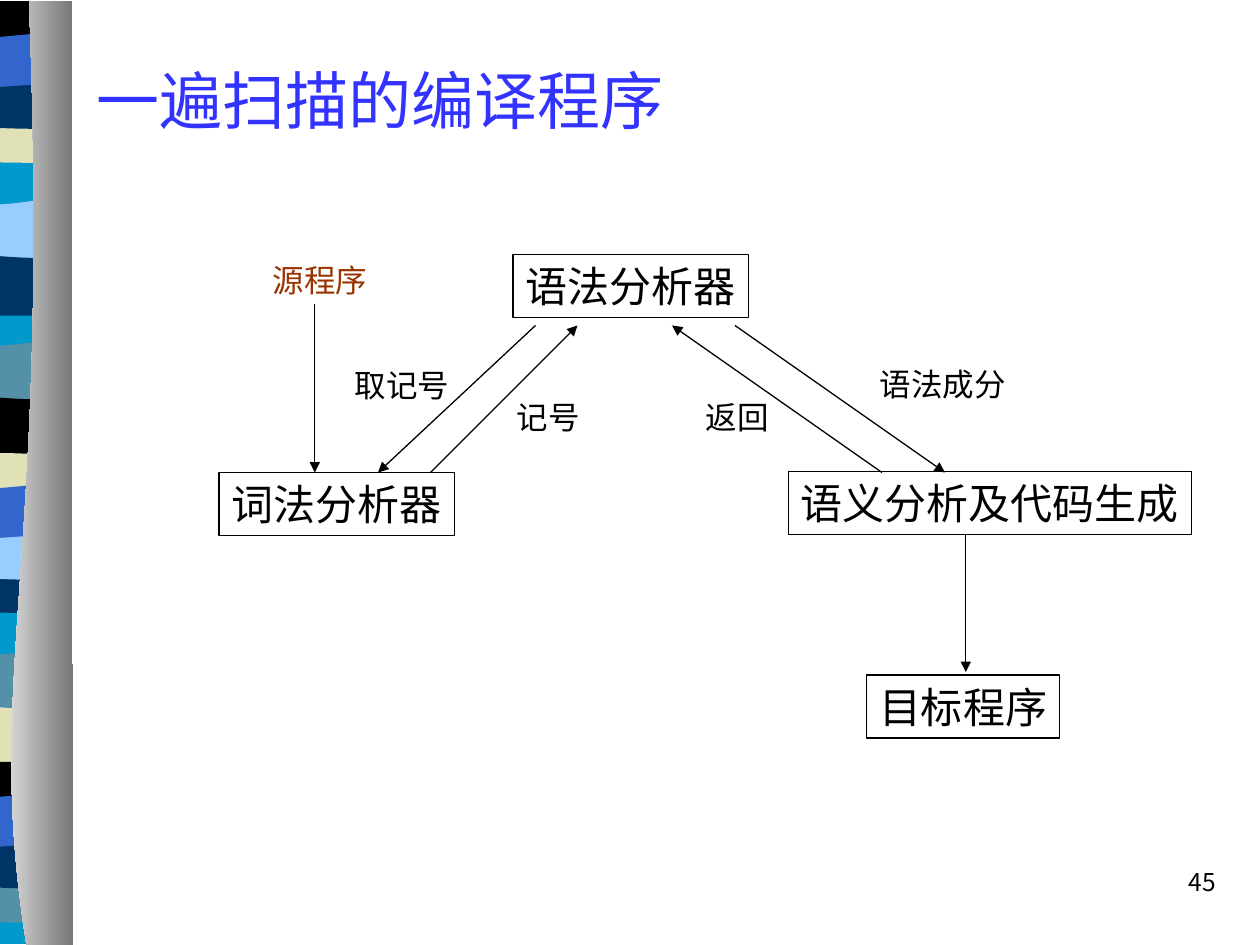
from lxml import etree
from pptx import Presentation
from pptx.dml.color import RGBColor
from pptx.enum.shapes import MSO_CONNECTOR, MSO_SHAPE
from pptx.enum.text import MSO_ANCHOR, MSO_AUTO_SIZE, PP_ALIGN
from pptx.oxml.ns import qn
from pptx.util import Pt

STRAIGHT = MSO_CONNECTOR.STRAIGHT
RECTANGLE = MSO_SHAPE.RECTANGLE
TOP, MIDDLE = MSO_ANCHOR.TOP, MSO_ANCHOR.MIDDLE
NO_FIT, FIT_SHAPE = MSO_AUTO_SIZE.NONE, MSO_AUTO_SIZE.SHAPE_TO_FIT_TEXT
LEFT, RIGHT = PP_ALIGN.LEFT, PP_ALIGN.RIGHT

FONT = "Noto Sans CJK SC"
BLACK = RGBColor(0x00, 0x00, 0x00)
WHITE = RGBColor(0xFF, 0xFF, 0xFF)
TITLE_BLUE = RGBColor(0x33, 0x33, 0xFF)
RUST = RGBColor(0x99, 0x33, 0x00)
TEAL = RGBColor(0x00, 0x99, 0xCC)
STEEL = RGBColor(0x54, 0x90, 0xA8)
SAND = RGBColor(0xE1, 0xE1, 0xB7)
BLUE = RGBColor(0x33, 0x66, 0xCC)
NAVY = RGBColor(0x00, 0x33, 0x66)
SKY = RGBColor(0x99, 0xCC, 0xFF)
DARK_GREY = RGBColor(0x76, 0x76, 0x76)

SAG = [(79, 27.4), (30, 23.8), (16, 27.4), (0, 27.4)]
PROFILES = {
    "base": ([(0, 0), (79, 0)], [(79, 537), (0, 537)]),
    "wave": ([(0, 5.8), (55, 12.2), (66, 0), (79, 5.8)], [(79, 39.5), (0, 39.5)]),
    "ripple": ([(0, 5), (13, 0), (55, 9.4), (79, 5)], [(79, 39.2), (0, 39.2)]),
    "lens": ([(0, 3), (13, 0), (66, 0), (79, 3)],
             [(79, 20.3), (74, 23.9), (61, 23.2), (49, 23.2),
              (35, 23.2), (10, 21), (0, 20.3)]),
    "arch": ([(0, 4.3), (13, 0), (66, 0), (79, 4.3)], SAG),
    "lid": ([(0, 0), (79, 0)], SAG),
    "dip": ([(0, 0), (12, 3.6), (17, 3.6), (30, 3.6), (44, 3.6), (67, 0), (79, 0)],
            [(79, 33.8), (0, 33.8)]),
    "crest": ([(0, 4.1), (5, 0), (17, 4.1), (30, 4.1), (44, 4.1), (71, 0), (79, 4.1)],
              [(79, 25.9), (68, 29.5), (25, 25.9), (12, 25.9),
               (-1, 25.9), (3, 25.9), (0, 25.9)]),
}
BANDS = [
    ("base", 2.2, TEAL),
    ("wave", 366.5, STEEL), ("ripple", 399, SAND), ("lens", 504, STEEL),
    ("arch", 434.2, BLACK), ("dip", 452.2, BLUE), ("crest", 480.2, NAVY),
    ("wave", 190.1, STEEL), ("ripple", 222, BLACK), ("lens", 327, NAVY),
    ("arch", 257.8, SAND), ("dip", 275.8, BLUE), ("crest", 303.8, SKY),
    ("wave", 109.4, SKY), ("ripple", 141.2, NAVY), ("lens", 69.8, SAND),
    ("lid", 0.7, BLACK), ("dip", 18, BLUE), ("crest", 46.1, NAVY),
]

BOXES = [("语法分析器", 173.2, 1.6), ("词法分析器", 5.2, 126),
         ("语义分析及代码生成", 330.5, 125.3), ("目标程序", 375.2, 241.7)]
LINKS = [
    ((186, 42, 96, 126), ("取记号", 75.6, 61.9, BLACK)),
    ((59.9, 30, 59.9, 126), ("源程序", 28.8, 1.4, RUST)),
    ((126, 126, 210, 42), ("记号", 168.2, 79.9, BLACK)),
    ((300, 42, 420, 126), ("语法成分", 375.6, 61.2, BLACK)),
    ((384, 126, 264, 42), ("返回", 276.2, 79.9, BLACK)),
]
OUTPUT_ARROW = (431.9, 161.8, 431.9, 240)


def add_outline(shapes, x, y, curves):
    points = [(Pt(x + px), Pt(y + py)) for curve in curves for px, py in curve]
    fb = shapes.build_freeform(*points[0], scale=1.0)
    fb.add_line_segments(points[1:], close=True)
    sp = fb.convert_to_shape()
    sp.shadow.inherit = False
    sp.line.fill.background()

    path = sp._element.find(".//" + qn("a:path"))
    lines = path.findall(qn("a:lnTo"))
    start = 0
    for curve in curves:
        if len(curve) > 2:
            for i in range(start, start + len(curve) - 1, 3):
                bezier = etree.Element(qn("a:cubicBezTo"))
                lines[i].addprevious(bezier)
                for line in lines[i:i + 3]:
                    bezier.append(line[0])
                    path.remove(line)
        start += len(curve)
    return sp


def add_sidebar(slide, x, y, w, h):
    shapes = slide.shapes.add_group_shape().shapes
    for name, top, color in BANDS:
        sp = add_outline(shapes, x, y + top, PROFILES[name])
        sp.fill.solid()
        sp.fill.fore_color.rgb = color

    edge = [(56.2, h), (31, 383.8), (70.6, 326.9), (57.6, 0.7)]
    sp = add_outline(shapes, x, y, [edge, [(w - 0.7, 0.7), (w, h)]])
    sp.fill.gradient()
    sp.fill.gradient_angle = 0
    for stop, color in zip(sp.fill.gradient_stops, (WHITE, DARK_GREY)):
        stop.color.rgb = color


def set_text(sp, text, size, color, align=LEFT, anchor=TOP, wrap=False):
    tf = sp.text_frame
    tf.text = text
    tf.word_wrap = wrap
    tf.auto_size = NO_FIT if wrap else FIT_SHAPE
    tf.vertical_anchor = anchor
    p = tf.paragraphs[0]
    p.alignment = align
    r = p.runs[0]
    r.font.size = Pt(size)
    r.font.name = FONT
    r.font.color.rgb = color
    etree.SubElement(r.font._element, qn("a:ea"), typeface=FONT)
    return p


def add_title(slide, x, y, w, h):
    sp = slide.shapes.add_textbox(Pt(x), Pt(y), Pt(w), Pt(h))
    set_text(sp, "一遍扫描的编译程序", 36, TITLE_BLUE, anchor=MIDDLE, wrap=True)


def add_number(slide, x, y, w, h):
    sp = slide.shapes.add_textbox(Pt(x), Pt(y), Pt(w), Pt(h))
    p = set_text(sp, "45", 14, BLACK, align=RIGHT, wrap=True)
    p.space_before = Pt(8.8)


def add_arrow(shapes, x1, y1, x2, y2):
    cn = shapes.add_connector(STRAIGHT, Pt(x1), Pt(y1), Pt(x2), Pt(y2))
    cn.line.color.rgb = BLACK
    cn.line.width = Pt(0.75)
    sp_pr = cn._element.spPr
    etree.SubElement(sp_pr.find(qn("a:ln")), qn("a:tailEnd"), type="triangle")
    etree.SubElement(sp_pr, qn("a:effectLst"))


def add_diagram(slide, x, y):
    for text, dx, dy in BOXES:
        sp = slide.shapes.add_shape(RECTANGLE, Pt(x + dx), Pt(y + dy),
                                    Pt(24 * len(text) + 14.4), Pt(36))
        sp.shadow.inherit = False
        sp.fill.background()
        sp.line.color.rgb = BLACK
        sp.line.width = Pt(0.75)
        set_text(sp, text, 24, BLACK)
    for (x1, y1, x2, y2), (text, dx, dy, color) in LINKS:
        shapes = slide.shapes.add_group_shape().shapes
        add_arrow(shapes, x + x1, y + y1, x + x2, y + y2)
        sp = shapes.add_textbox(Pt(x + dx), Pt(y + dy),
                                Pt(18 * len(text) + 14.4), Pt(28.8))
        set_text(sp, text, 18, color)
    x1, y1, x2, y2 = OUTPUT_ARROW
    add_arrow(slide.shapes, x + x1, y + y1, x + x2, y + y2)


def main():
    prs = Presentation()
    prs.slide_width, prs.slide_height = Pt(720), Pt(540)
    slide = prs.slides.add_slide(prs.slide_layouts[6])
    add_sidebar(slide, -41, 0, 82.8, 540)
    add_number(slide, 552, 492, 150, 36)
    add_title(slide, 48, 12, 656.6, 90)
    add_diagram(slide, 120, 144)
    prs.save("out.pptx")


if __name__ == "__main__":
    main()
